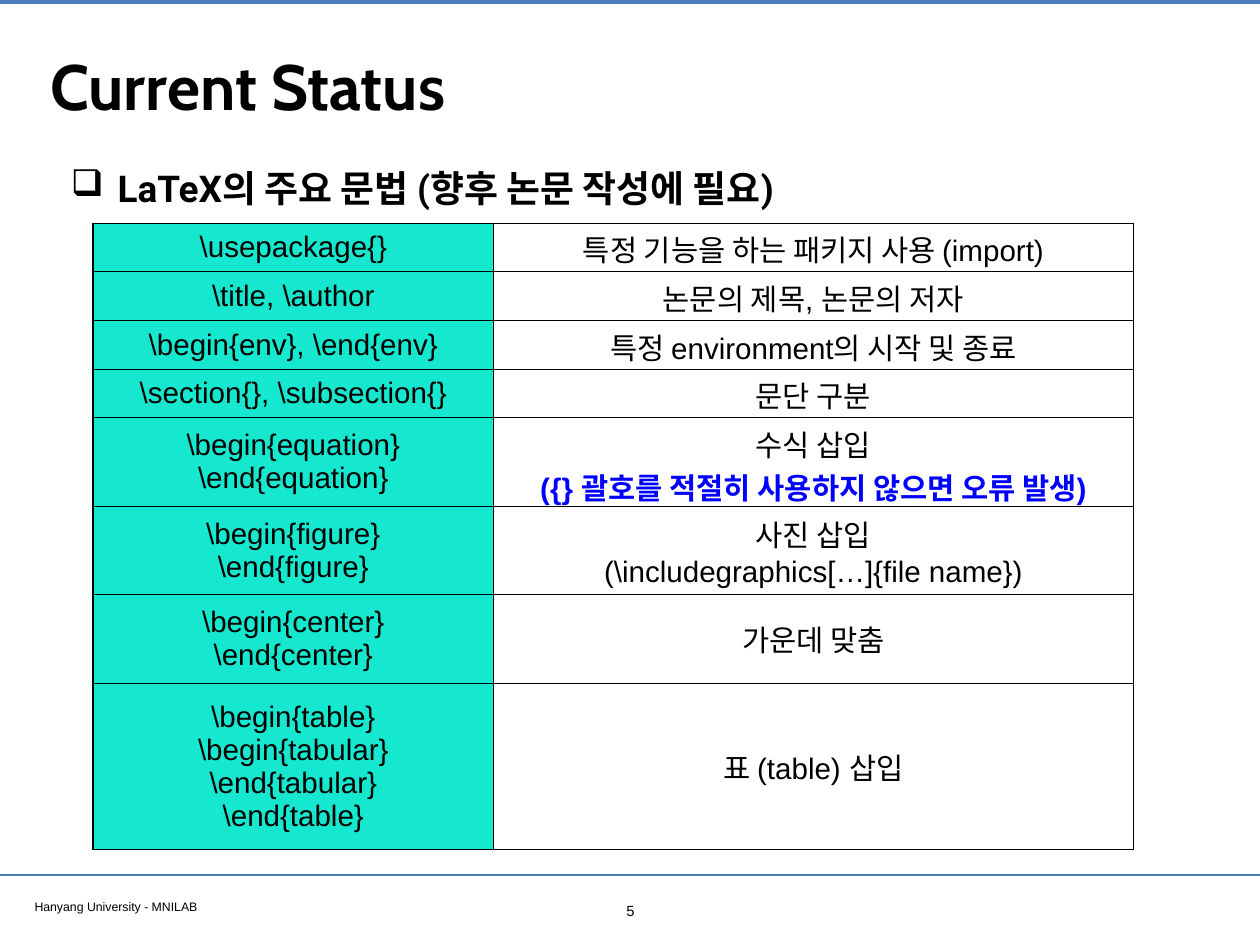
import pptx
import pptx.dml.color
import pptx.enum.shapes
import pptx.enum.text
import pptx.oxml.ns
import pptx.util
from lxml import etree

BLACK = pptx.dml.color.RGBColor(0x00, 0x00, 0x00)
WARNING_BLUE = pptx.dml.color.RGBColor(0x00, 0x00, 0xFF)
RULE_BLUE = pptx.dml.color.RGBColor(0x4A, 0x7E, 0xBB)
TURQUOISE = pptx.dml.color.RGBColor(0x16, 0xE7, 0xCF)

ALIGN = pptx.enum.text.PP_ALIGN
ANCHOR = pptx.enum.text.MSO_ANCHOR
WIDTH = pptx.util.Inches(14.22)
HEIGHT = pptx.util.Inches(10.67)

COLUMN_SHARES = (31.79, 50.77)
ROW_SHARES = (5.15,) * 4 + (9.37,) * 3 + (17.62,)
WARNING = "({} 괄호를 적절히 사용하지 않으면 오류 발생)"
COMMANDS = (
    (r"\usepackage{}", "특정 기능을 하는 패키지 사용 (import)"),
    (r"\title, \author", "논문의 제목, 논문의 저자"),
    (r"\begin{env}, \end{env}", "특정 environment의 시작 및 종료"),
    (r"\section{}, \subsection{}", "문단 구분"),
    ("\\begin{equation}\n\\end{equation}", "수식 삽입\n" + WARNING),
    ("\\begin{figure}\n\\end{figure}", "사진 삽입\n(\\includegraphics[…]{file name})"),
    ("\\begin{center}\n\\end{center}", "가운데 맞춤"),
    ("\\begin{table}\n\\begin{tabular}\n\\end{tabular}\n\\end{table}", "표 (table) 삽입"),
)


def across(percent):
    """Return a percentage of the slide width as a length."""
    return round(WIDTH * percent / 100)


def down(percent):
    """Return a percentage of the slide height as a length."""
    return round(HEIGHT * percent / 100)


def add_element(parent, tag, **attributes):
    """Append a drawing element to a parent and return it."""
    return etree.SubElement(parent, pptx.oxml.ns.qn(tag), **attributes)


def write_paragraph(paragraph, text, size=24, font="Arial", color=BLACK, bold=False,
                    align=ALIGN.LEFT, bullet=None, line_spacing=None):
    """Fill a paragraph with formatted text."""
    paragraph.alignment = align
    if line_spacing:
        paragraph.line_spacing = line_spacing
    if bullet:
        properties = paragraph._p.get_or_add_pPr()
        indent = pptx.util.Inches(0.53)
        properties.set("marL", str(indent))
        properties.set("indent", str(-indent))
        add_element(properties, "a:buChar", char=bullet)
    run = paragraph.add_run()
    run.text = text
    run.font.size = pptx.util.Pt(size)
    run.font.name = font
    run.font.bold = bold
    run.font.color.rgb = color


def add_label(slide, left, top, width, height, text, anchor=ANCHOR.TOP, **text_format):
    """Add a text box placed by percentages of the slide."""
    box = slide.shapes.add_textbox(across(left), down(top), across(width), down(height))
    frame = box.text_frame
    frame.word_wrap = True
    frame.vertical_anchor = anchor
    inset = pptx.util.Inches(0.06)
    frame.margin_left = frame.margin_right = inset
    frame.margin_top = frame.margin_bottom = inset
    write_paragraph(frame.paragraphs[0], text, **text_format)


def add_rule(slide, top, weight):
    """Add a horizontal line across the whole slide."""
    rule = slide.shapes.add_connector(
        pptx.enum.shapes.MSO_CONNECTOR.STRAIGHT, 0, down(top), WIDTH, down(top))
    rule.line.color.rgb = RULE_BLUE
    rule.line.width = pptx.util.Pt(weight)
    add_element(rule._element.spPr, "a:effectLst")


def add_borders(cell):
    """Draw a thin black border on every side of a cell."""
    properties = cell._tc.get_or_add_tcPr()
    for position, side in enumerate(("a:lnL", "a:lnR", "a:lnT", "a:lnB")):
        border = add_element(properties, side, w=str(pptx.util.Pt(1)))
        fill = add_element(border, "a:solidFill")
        add_element(fill, "a:srgbClr", val=str(BLACK))
        properties.insert(position, border)


def fill_cell(cell, text, is_command):
    """Write the lines of a cell and set its fill and borders."""
    cell.vertical_anchor = ANCHOR.MIDDLE
    if is_command:
        cell.fill.solid()
        cell.fill.fore_color.rgb = TURQUOISE
    else:
        cell.fill.background()
    add_borders(cell)
    frame = cell.text_frame
    for index, line in enumerate(text.split("\n")):
        paragraph = frame.add_paragraph() if index else frame.paragraphs[0]
        warns = line == WARNING
        write_paragraph(paragraph, line, align=ALIGN.CENTER, bold=warns,
                        color=WARNING_BLUE if warns else BLACK)


def add_command_table(slide, left, top):
    """Add the table of commands and their meanings."""
    table = slide.shapes.add_table(
        len(COMMANDS), len(COLUMN_SHARES), across(left), down(top),
        across(sum(COLUMN_SHARES)), down(sum(ROW_SHARES))).table
    table.first_row = table.horz_banding = False
    for column, share in zip(table.columns, COLUMN_SHARES):
        column.width = across(share)
    for row, share, texts in zip(table.rows, ROW_SHARES, COMMANDS):
        row.height = down(share)
        for index, (cell, text) in enumerate(zip(row.cells, texts)):
            fill_cell(cell, text, is_command=index == 0)


def main():
    """Build the slide and save it."""
    presentation = pptx.Presentation()
    presentation.slide_width = WIDTH
    presentation.slide_height = HEIGHT
    slide = presentation.slides.add_slide(presentation.slide_layouts[6])
    add_rule(slide, 0.19, 3.2)
    add_rule(slide, 92.6, 2)
    add_label(slide, 2.32, 94.56, 38.4, 2.44, "Hanyang University - MNILAB", size=10)
    add_label(slide, 3.59, 2.62, 92.9, 12.65, "Current Status", anchor=ANCHOR.MIDDLE,
              size=52, font="Cabin", bold=True)
    add_label(slide, 5.2, 16.03, 93.88, 7.59, "LaTeX의 주요 문법 (향후 논문 작성에 필요)",
              size=30, font="Roboto", bold=True, bullet="❑", line_spacing=1.2)
    add_label(slide, 48.66, 94.85, 2.74, 2.9, "5", size=12, align=ALIGN.CENTER)
    add_command_table(slide, 7.38, 23.62)
    presentation.save("out.pptx")


if __name__ == "__main__":
    main()
